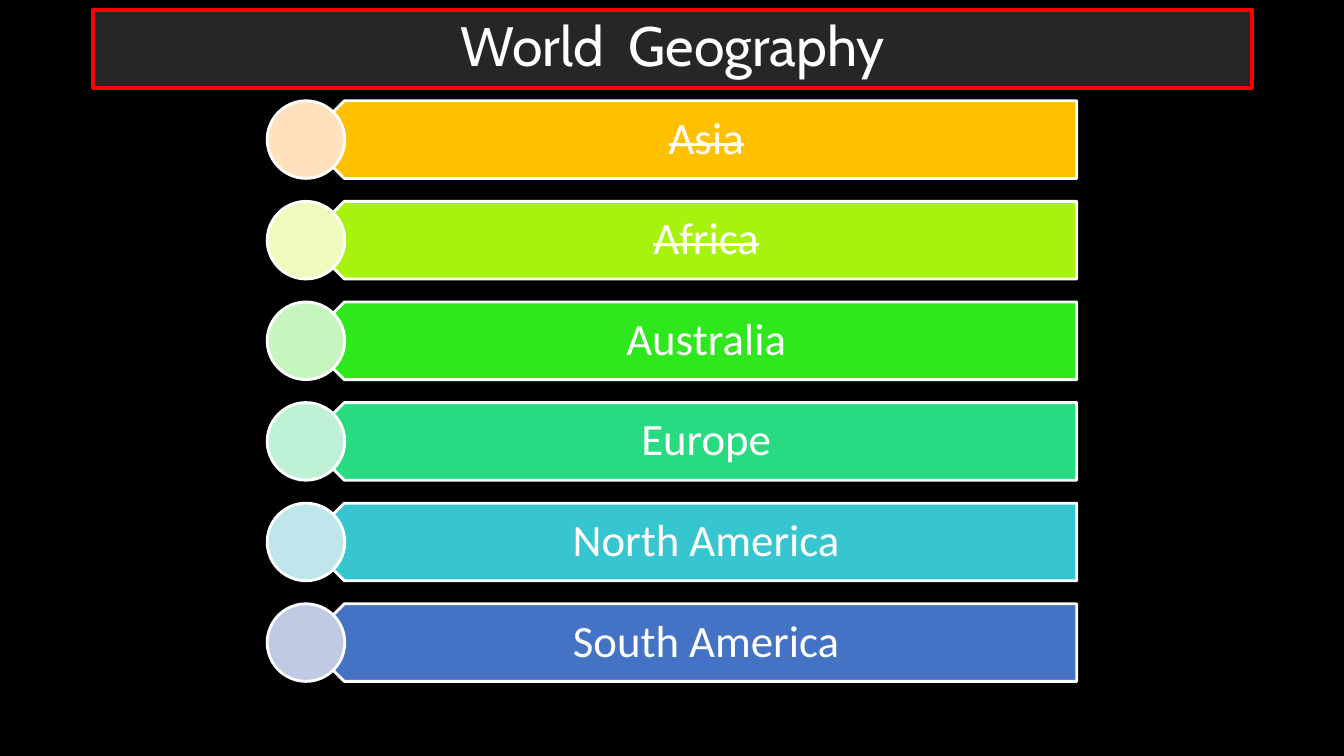
import pptx
import pptx.util
import pptx.dml.color
import pptx.enum.shapes
import pptx.enum.text

Inches = pptx.util.Inches
SHAPE = pptx.enum.shapes.MSO_SHAPE

COLORS = {
    "background": "000000",
    "white": "FFFFFF",
    "title_fill": "262626",
    "title_line": "FF0000",
}

# Name, bar colour, circle colour, struck out
CONTINENTS = [
    ("Asia", "FFC000", "FFE2BD", True),
    ("Africa", "A7F30E", "EEFBBC", True),
    ("Australia", "2EE71C", "C6F6BD", False),
    ("Europe", "29DB80", "BEF1D6", False),
    ("North America", "37C6CF", "BFE6EB", False),
    ("South America", "4472C4", "C1CAE4", False),
]
FIRST_TOP, LAST_TOP = 1, 5.99
ROW_HEIGHT = 0.77


def rgb(value):
    return pptx.dml.color.RGBColor.from_string(value)


class SlideBuilder:
    def __init__(self, s):
        self.s = s
        fill = s.background.fill
        fill.solid()
        fill.fore_color.rgb = rgb(COLORS["background"])

    def shape(self, kind, box, fill, line=COLORS["white"], width=2):
        sp = self.s.shapes.add_shape(kind, *map(Inches, box))
        sp.shadow.inherit = False
        sp.fill.solid()
        sp.fill.fore_color.rgb = rgb(fill)
        sp.line.color.rgb = rgb(line)
        sp.line.width = pptx.util.Pt(width)
        return sp

    def add_text(self, sp, text, size, font, strike=False):
        tf = sp.text_frame
        tf.word_wrap = True
        tf.vertical_anchor = pptx.enum.text.MSO_ANCHOR.MIDDLE
        p = tf.paragraphs[0]
        p.alignment = pptx.enum.text.PP_ALIGN.CENTER
        p.line_spacing = 0.9
        r = p.add_run()
        r.text = text
        r.font.size = pptx.util.Pt(size)
        r.font.name = font
        r.font.color.rgb = rgb(COLORS["white"])
        if strike:
            r.font._element.set("strike", "sngStrike")

    def label(self, box, text, strike):
        sp = self.s.shapes.add_textbox(*map(Inches, box))
        tf = sp.text_frame
        tf.margin_left, tf.margin_right = Inches(0.34), Inches(0.25)
        tf.margin_top = tf.margin_bottom = Inches(0.13)
        self.add_text(sp, text, 32, "Calibri", strike)

    def row(self, top, name, bar_color, circle_color, strike):
        bar = self.shape(SHAPE.PENTAGON, (3.03, top, 7.65, ROW_HEIGHT), bar_color)
        bar.rotation = 180
        self.label((3.23, top, 7.46, ROW_HEIGHT), name, strike)
        self.shape(SHAPE.OVAL, (2.65, top, ROW_HEIGHT, ROW_HEIGHT), circle_color)

    def title(self, text):
        sp = self.shape(SHAPE.ROUNDED_RECTANGLE, (0.92, 0.1, 11.5, 0.77),
                        COLORS["title_fill"], COLORS["title_line"], 3)
        sp.adjustments[0] = 0
        self.add_text(sp, text, 39.6, "Cabin")


def main():
    prs = pptx.Presentation()
    prs.slide_width, prs.slide_height = Inches(13.33), Inches(7.5)
    builder = SlideBuilder(prs.slides.add_slide(prs.slide_layouts[6]))

    # Continent list
    step = (LAST_TOP - FIRST_TOP) / (len(CONTINENTS) - 1)
    for i, continent in enumerate(CONTINENTS):
        builder.row(FIRST_TOP + i * step, *continent)

    # Title bar
    builder.title("World  Geography")

    prs.save("out.pptx")


if __name__ == "__main__":
    main()
